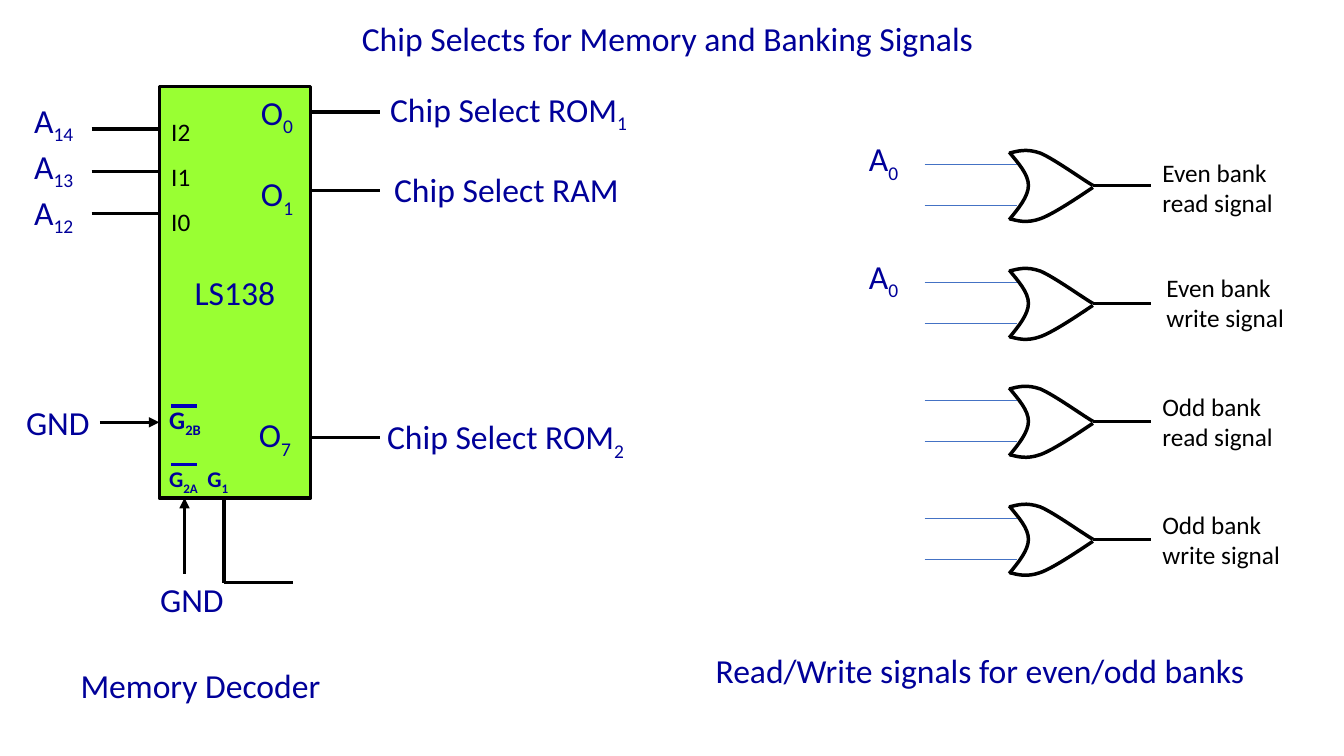
from dataclasses import dataclass
from lxml.etree import SubElement
from pptx import Presentation
from pptx.dml.color import RGBColor
from pptx.enum.shapes import MSO_CONNECTOR, MSO_SHAPE
from pptx.enum.text import MSO_ANCHOR, MSO_AUTO_SIZE, PP_ALIGN
from pptx.oxml.ns import qn
from pptx.slide import Slide
from pptx.text.text import TextFrame
from pptx.util import Inches, Pt

Point = tuple[float, float]


@dataclass(frozen=True)
class Theme:
    font: str = "Calibri"
    navy: str = "000099"
    black: str = "000000"
    overbar: str = "0000BC"
    input_blue: str = "4472C4"
    chip_green: str = "99FF33"
    large: int = 24
    medium: int = 18
    small: int = 16
    thick: float = 2.5
    thin: float = 0.5


THEME = Theme()


@dataclass(frozen=True)
class Label:
    """Text in a box; parts after every other "|" are subscripts."""
    text: str
    left: float
    top: float
    width: float
    height: float = 0.5
    size: int = THEME.large
    color: str = THEME.navy
    bold: bool = False
    spacing: float = 1.0


@dataclass(frozen=True)
class Wire:
    start: Point
    end: Point
    color: str = THEME.black
    width: float = THEME.thick
    arrow: bool = False


@dataclass(frozen=True)
class Output:
    pin: Label
    target: Label
    wire_y: float


@dataclass(frozen=True)
class Gate:
    signal: str
    label_left: float
    label_top: float
    input_name: str = ""


CHIP_LEFT, CHIP_TOP, CHIP_WIDTH, CHIP_HEIGHT = 1.58, 0.86, 1.5, 4.08
CHIP_RIGHT, CHIP_BOTTOM = CHIP_LEFT + CHIP_WIDTH, CHIP_TOP + CHIP_HEIGHT
ADDRESS_WIRE_TOP, ADDRESS_WIRE_STEP = 1.28, 0.42
OUTPUT_WIRE_END = 3.77
GND_X, GND_Y = 1.83, 4.19
ENABLE_X, ENABLE_Y = 2.22, 5.78

LABELS = [
    Label("Chip Selects for Memory and Banking Signals", 3.49, 0.13, 6.71),
    Label("GND", 1.49, 5.69, 1),
    Label("GND", 0.16, 3.94, 1.11),
    Label("G|2A", 1.58, 4.57, 0.6, 0.37, THEME.small, bold=True),
    Label("G|1", 1.96, 4.57, 0.6, 0.37, THEME.small, bold=True),
    Label("G|2B", 1.58, 3.96, 0.75, 0.4, THEME.medium, bold=True),
    Label("A|14\nA|13\nA|12", 0.24, 0.94, 0.75, 1.31),
    Label("I2\nI1\nI0", 1.6, 0.95, 0.43, 1.42, THEME.medium, THEME.black, spacing=1.5),
    Label("Memory Decoder", 0.7, 6.55, 4.32),
    Label("Read/Write signals for even/odd banks", 7, 6.4, 5.64),
]
OUTPUTS = [
    Output(Label("O|0", 2.49, 0.86, 1), Label("Chip Select ROM|1", 3.77, 0.83, 2.61), 1.11),
    Output(Label("O|1", 2.49, 1.67, 0.58), Label("Chip Select RAM", 3.81, 1.63, 2.61), 1.89),
    Output(Label("O|7", 2.47, 4.06, 0.67), Label("Chip Select ROM|2", 3.74, 4.08, 2.58), 4.34),
]
WIRES = [
    Wire((GND_X, 5.69), (GND_X, CHIP_BOTTOM), arrow=True),
    Wire((0.99, GND_Y), (CHIP_LEFT, GND_Y), arrow=True),
    Wire((ENABLE_X, CHIP_BOTTOM), (ENABLE_X, ENABLE_Y)),
    Wire((ENABLE_X, ENABLE_Y), (2.91, ENABLE_Y)),
    *(Wire((1.7, y), (1.95, y), THEME.overbar) for y in (4.03, 4.61)),
]

GATE_TOP, GATE_STEP = 1.84, 1.17
GATE_LEFT, GATE_TIP = 10.01, 10.84
GATES = [
    Gate("Even bank read signal", 11.43, 1.51, "A|0"),
    Gate("Even bank write signal", 11.47, 2.65, "A|0"),
    Gate("Odd bank read signal", 11.43, 3.83),
    Gate("Odd bank write signal", 11.43, 5),
]
# Bezier points of the OR symbol, relative to its left edge and output line
GATE_CURVES: list[list[Point]] = [
    [(0, -0.33), (0.09, -0.22), (0.19, -0.11), (0.19, 0), (0.19, 0.11), (0.09, 0.23), (0, 0.34)],
    [(0, -0.32), (0.08, -0.34), (0.17, -0.37), (0.31, -0.32), (0.45, -0.26), (0.74, -0.05), (0.83, 0)],
    [(0, 0.33), (0.08, 0.35), (0.17, 0.38), (0.31, 0.33), (0.45, 0.28), (0.74, 0.08), (0.83, 0.02)],
]


def write_text(frame: TextFrame, label: Label) -> None:
    for index, line in enumerate(label.text.split("\n")):
        para = frame.add_paragraph() if index else frame.paragraphs[0]
        para.line_spacing = label.spacing
        para.font.name = THEME.font
        para.font.size = Pt(label.size)
        para.font.bold = label.bold
        para.font.color.rgb = RGBColor.from_string(label.color)
        for position, part in enumerate(line.split("|")):
            span = para.add_run()
            span.text = part
            if position % 2:
                span._r.get_or_add_rPr().set("baseline", "-25000")


def draw_label(page: Slide, label: Label) -> None:
    box = page.shapes.add_textbox(
        Inches(label.left), Inches(label.top), Inches(label.width), Inches(label.height))
    box.text_frame.word_wrap = True
    box.text_frame.auto_size = MSO_AUTO_SIZE.SHAPE_TO_FIT_TEXT
    write_text(box.text_frame, label)


def draw_wire(page: Slide, wire: Wire) -> None:
    ends = [Inches(value) for value in (*wire.start, *wire.end)]
    connector = page.shapes.add_connector(MSO_CONNECTOR.STRAIGHT, *ends)
    connector.line.color.rgb = RGBColor.from_string(wire.color)
    connector.line.width = Pt(wire.width)
    properties = connector._element.spPr
    if wire.arrow:
        SubElement(properties.find(qn("a:ln")), qn("a:tailEnd"), type="triangle")
    SubElement(properties, qn("a:effectLst"))


def draw_curve(page: Slide, points: list[Point]) -> None:
    """Draw a chain of cubic Bezier segments through every third point."""
    start, *rest = [(Inches(x), Inches(y)) for x, y in points]
    builder = page.shapes.build_freeform(*start)
    builder.add_line_segments(rest, close=False)
    curve = builder.convert_to_shape()
    curve.shadow.inherit = False
    curve.fill.background()
    curve.line.color.rgb = RGBColor.from_string(THEME.black)
    curve.line.width = Pt(THEME.thick)
    outline = curve._element.find(".//" + qn("a:path"))
    for index, line_node in enumerate(outline.findall(qn("a:lnTo"))):
        if index % 3 == 0:
            bezier = SubElement(outline, qn("a:cubicBezTo"))
        bezier.append(line_node[0])
        outline.remove(line_node)


def draw_decoder(page: Slide) -> None:
    chip = page.shapes.add_shape(
        MSO_SHAPE.RECTANGLE, Inches(CHIP_LEFT), Inches(CHIP_TOP), Inches(CHIP_WIDTH), Inches(CHIP_HEIGHT))
    chip.shadow.inherit = False
    chip.fill.solid()
    chip.fill.fore_color.rgb = RGBColor.from_string(THEME.chip_green)
    chip.line.color.rgb = RGBColor.from_string(THEME.black)
    chip.line.width = Pt(THEME.thick)
    chip.text_frame.word_wrap = False
    chip.text_frame.vertical_anchor = MSO_ANCHOR.MIDDLE
    write_text(chip.text_frame, Label("LS138", CHIP_LEFT, CHIP_TOP, CHIP_WIDTH))
    chip.text_frame.paragraphs[0].alignment = PP_ALIGN.CENTER
    for row in range(3):
        y = ADDRESS_WIRE_TOP + row * ADDRESS_WIRE_STEP
        draw_wire(page, Wire((0.91, y), (CHIP_LEFT, y)))
    for output in OUTPUTS:
        draw_wire(page, Wire((CHIP_RIGHT, output.wire_y), (OUTPUT_WIRE_END, output.wire_y)))
        draw_label(page, output.pin)
        draw_label(page, output.target)


def draw_gate(page: Slide, gate: Gate, y: float) -> None:
    for curve in GATE_CURVES:
        draw_curve(page, [(GATE_LEFT + dx, y + dy) for dx, dy in curve])
    draw_wire(page, Wire((GATE_TIP, y), (11.42, y)))
    for offset in (-0.21, 0.2):
        draw_wire(page, Wire((9.17, y + offset), (10.09, y + offset), THEME.input_blue, THEME.thin))
    if gate.input_name:
        draw_label(page, Label(gate.input_name, 8.52, y - 0.52, 0.54))
    draw_label(page, Label(
        gate.signal, gate.label_left, gate.label_top, 1.54, 0.71, THEME.medium, THEME.black))


def main() -> None:
    deck = Presentation()
    deck.slide_width, deck.slide_height = Inches(13.33), Inches(7.5)
    page = deck.slides.add_slide(deck.slide_layouts[6])
    draw_decoder(page)
    for wire in WIRES:
        draw_wire(page, wire)
    for row, gate in enumerate(GATES):
        draw_gate(page, gate, GATE_TOP + row * GATE_STEP)
    for label in LABELS:
        draw_label(page, label)
    deck.save("out.pptx")


if __name__ == "__main__":
    main()
